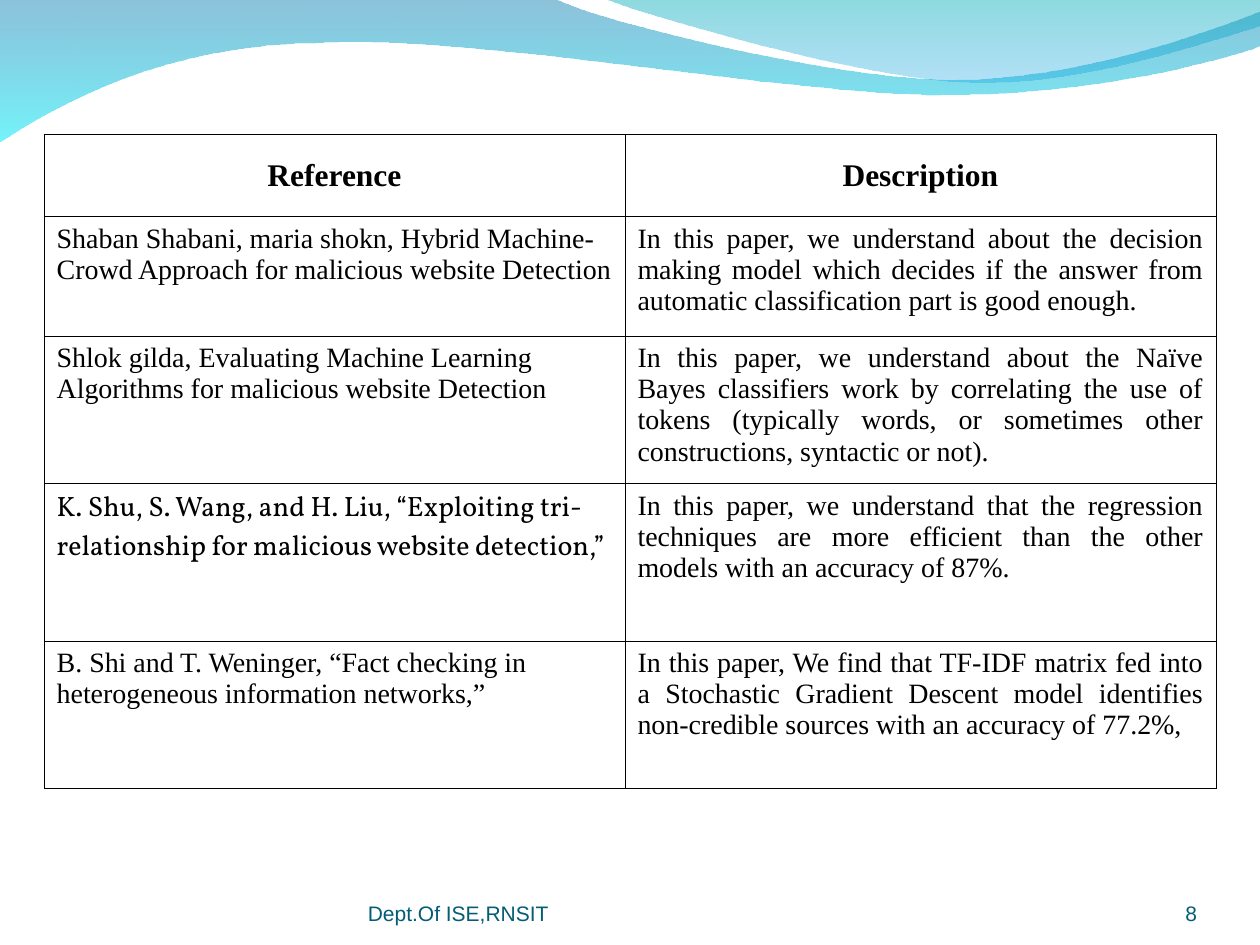
from lxml.etree import SubElement
from pptx import Presentation
from pptx.dml.color import RGBColor
from pptx.enum.text import MSO_ANCHOR as Anchor, PP_ALIGN as Align
from pptx.oxml import parse_xml
from pptx.oxml.ns import nsdecls, qn
from pptx.util import Inches, Pt

COLORS = {"text": "000000", "border": "000000", "footer": "045C75"}
SERIF = "Times New Roman"

HEADERS = ["Reference", "Description"]
ROWS = [
    ("Shaban Shabani, maria shokn, Hybrid Machine-Crowd Approach for malicious website Detection",
     "In this paper, we understand about the decision making model which decides if the answer "
     "from automatic classification part is good enough."),
    ("Shlok gilda, Evaluating Machine Learning Algorithms for malicious website Detection",
     "In this paper, we understand about the Naïve Bayes classifiers work by correlating the use "
     "of tokens (typically words, or sometimes other constructions, syntactic or not)."),
    ("K. Shu, S. Wang, and H. Liu, “Exploiting tri-relationship for malicious website detection,”",
     "In this paper, we understand that the regression techniques are more efficient than the "
     "other models with an accuracy of 87%."),
    ("B. Shi and T. Weninger, “Fact checking in heterogeneous information networks,”",
     "In this paper, We find that TF-IDF matrix fed into a Stochastic Gradient Descent model "
     "identifies non-credible sources with an accuracy of 77.2%,"),
]
CELL_FONTS = {(3, 0): "Vollkorn"}
COLUMN_WIDTHS = [4.61, 4.69]
ROW_HEIGHTS = [0.65, 0.95, 1.17, 1.25, 1.17]
TABLE_LEFT, TABLE_TOP = 0.35, 1.07

# A segment of one point is a line, one of three points a Bézier curve.
# Gradient stops run from top to bottom: colour, opacity in percent.
WAVES = [
    {"start": (0, -0.01),
     "segments": [[(4.4, -0.01)],
                  [(4.76, 0.17), (6.64, 0.63), (7.58, 0.63)],
                  [(8.53, 0.63), (9.58, 0.26), (10, 0.09)],
                  [(10.01, 0.36)],
                  [(9.83, 0.44), (8.7, 0.76), (7.46, 0.75)],
                  [(6.22, 0.75), (3.82, 0.28), (2.57, 0.34)],
                  [(1.29, 0.35), (0.46, 0.83), (-0.01, 1.13)],
                  [(0, -0.01)]],
     "stops": [("0079AF", 45), ("00EBF8", 55)]},
    {"start": (4.79, -0.01),
     "segments": [[(5.09, 0.11), (6.82, 0.62), (7.69, 0.65)],
                  [(8.56, 0.69), (9.61, 0.32), (10, 0.21)],
                  [(10, 0)],
                  [(4.79, -0.01)]],
     "stops": [("00ADB6", 45), ("009BE5", 30)]},
]
FOOTERS = [
    ("Dept.Of ISE,RNSIT", 2.92, 3.67, Align.LEFT),
    ("8", 8.67, 0.83, Align.RIGHT),
]
FOOTER_TOP, FOOTER_HEIGHT = 6.95, 0.4


def bend_lines(shape, segments):
    """Turn the lines through each three-point segment into one Bézier curve."""
    lines = iter(list(shape._element.spPr.iter(qn("a:lnTo"))))
    for segment in segments:
        first, *others = [next(lines) for _ in segment]
        if others:
            curve = parse_xml(f'<a:cubicBezTo {nsdecls("a")}/>')
            first.addprevious(curve)
            for line in (first, *others):
                curve.append(line[0])
                line.getparent().remove(line)


def add_wave(slide, start, segments, stops):
    points = [start] + [point for segment in segments for point in segment]
    (left, top), *rest = [(Inches(x), Inches(y)) for x, y in points]
    builder = slide.shapes.build_freeform(left, top)
    builder.add_line_segments(rest, close=True)
    shape = builder.convert_to_shape()
    bend_lines(shape, segments)
    shape.shadow.inherit = False
    shape.line.fill.background()
    shape.fill.gradient()
    shape.fill.gradient_angle = 270
    for stop, (color, _) in zip(shape.fill.gradient_stops, stops):
        stop.color.rgb = RGBColor.from_string(color)
    color_elements = shape._element.spPr.iter(qn("a:srgbClr"))
    for element, (_, opacity) in zip(list(color_elements), stops):
        SubElement(element, qn("a:alpha"), val=str(opacity * 1000))


def write_text(text_frame, text, align, color, **font_values):
    paragraph = text_frame.paragraphs[0]
    paragraph.alignment = align
    run = paragraph.add_run()
    run.text = text
    run.font.color.rgb = RGBColor.from_string(color)
    for name, value in font_values.items():
        setattr(run.font, name, value)


def set_borders(cell):
    properties = cell._tc.get_or_add_tcPr()
    for index, side in enumerate("LRTB"):
        properties.insert(index, parse_xml(
            f'<a:ln{side} {nsdecls("a")} w="{Pt(0.45)}"><a:solidFill>'
            f'<a:srgbClr val="{COLORS["border"]}"/></a:solidFill></a:ln{side}>'))


def add_reference_table(slide):
    table = slide.shapes.add_table(
        len(ROW_HEIGHTS), len(COLUMN_WIDTHS), Inches(TABLE_LEFT), Inches(TABLE_TOP),
        Inches(sum(COLUMN_WIDTHS)), Inches(sum(ROW_HEIGHTS))).table
    table.first_row = table.horz_banding = False
    for column, width in zip(table.columns, COLUMN_WIDTHS):
        column.width = Inches(width)
    for row, height in zip(table.rows, ROW_HEIGHTS):
        row.height = Inches(height)
    for row_index, texts in enumerate([HEADERS, *ROWS]):
        is_header = row_index == 0
        for column_index, text in enumerate(texts):
            cell = table.cell(row_index, column_index)
            cell.fill.background()
            set_borders(cell)
            cell.vertical_anchor = Anchor.MIDDLE if is_header else Anchor.TOP
            body_align = Align.JUSTIFY if column_index else Align.LEFT
            write_text(cell.text_frame, text, Align.CENTER if is_header else body_align,
                       COLORS["text"], size=Pt(18 if is_header else 16), bold=is_header,
                       name=CELL_FONTS.get((row_index, column_index), SERIF))


def add_footer(slide, text, left, width, align):
    box = slide.shapes.add_textbox(Inches(left), Inches(FOOTER_TOP),
                                   Inches(width), Inches(FOOTER_HEIGHT))
    frame = box.text_frame
    frame_format = {"word_wrap": True, "vertical_anchor": Anchor.BOTTOM, "margin_left": 0,
                    "margin_right": 0, "margin_top": 0, "margin_bottom": 0}
    for name, value in frame_format.items():
        setattr(frame, name, value)
    write_text(frame, text, align, COLORS["footer"], size=Pt(12), name="Arial")


def main():
    presentation = Presentation()
    presentation.slide_width, presentation.slide_height = Inches(10), Inches(7.5)
    slide = presentation.slides.add_slide(presentation.slide_layouts[6])
    for wave in WAVES:
        add_wave(slide, **wave)
    for footer in FOOTERS:
        add_footer(slide, *footer)
    add_reference_table(slide)
    presentation.save("out.pptx")


if __name__ == "__main__":
    main()
